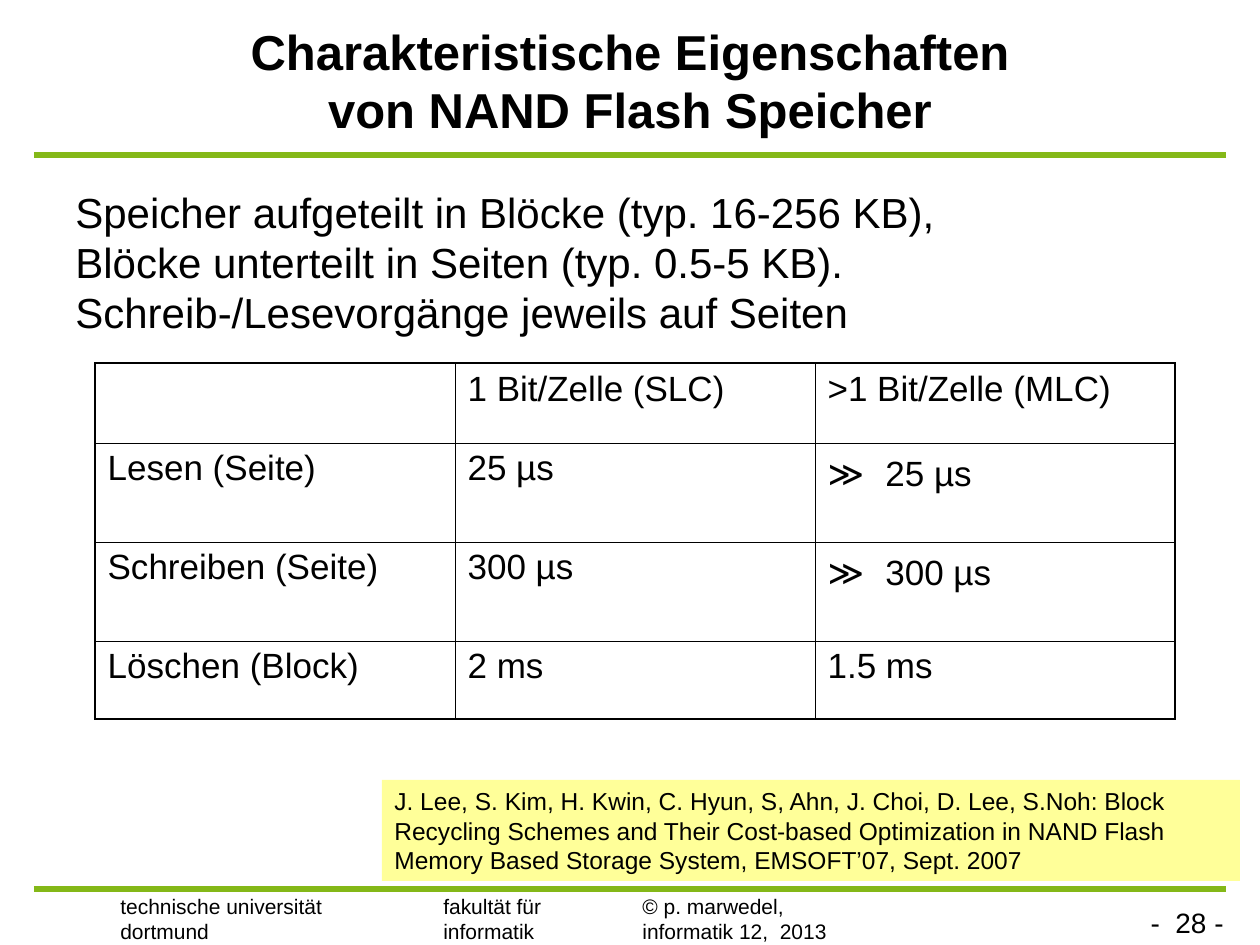
from dataclasses import dataclass

from lxml.etree import SubElement
from pptx import Presentation
from pptx.dml.color import RGBColor as RGB
from pptx.enum.shapes import MSO_CONNECTOR as CONN, MSO_SHAPE as SHAPE
from pptx.enum.text import MSO_ANCHOR as ANCHOR, PP_ALIGN as ALIGN
from pptx.oxml.ns import qn
from pptx.util import Pt

EMU_PER_PX = 914400 / 126


@dataclass(frozen=True)
class Theme:
    font: str = "Arial"
    symbol_font: str = "Noto Sans Mono"
    ink: RGB = RGB(0, 0, 0)
    rule: RGB = RGB(0x84, 0xB8, 0x18)
    note: RGB = RGB(0xFF, 0xFF, 0x99)
    title: int = 28
    body: int = 24
    cell: int = 20
    page: int = 16
    citation: int = 14
    footer: int = 12
    rule_width: int = 3
    outer_border: float = 1.08
    inner_border: float = 0.45


THEME = Theme()

ROWS = [
    ["", "1 Bit/Zelle (SLC)", ">1 Bit/Zelle (MLC)"],
    ["Lesen (Seite)", "25 µs", "≫ 25 µs"],
    ["Schreiben (Seite)", "300 µs", "≫ 300 µs"],
    ["Löschen (Block)", "2 ms", "1.5 ms"],
]
ROW_HEIGHTS = [80, 99, 99, 78]
COLUMN_WIDTH = 360


def px(n):
    return round(n * EMU_PER_PX)


def box(*lengths):
    return [px(n) for n in lengths]


def style_run(r, size, bold=False, font=THEME.font):
    r.font.size = Pt(size)
    r.font.bold = bold
    r.font.name = font
    r.font.color.rgb = THEME.ink


def style_frame(tf, size, bold=False, align=ALIGN.LEFT):
    for p in tf.paragraphs:
        p.alignment = align
        for r in p.runs:
            style_run(r, size, bold)


def add_text(slide, at, text, size, bold=False, align=ALIGN.LEFT,
             anchor=ANCHOR.TOP, wrap=True):
    tf = slide.shapes.add_textbox(*box(*at)).text_frame
    tf.word_wrap = wrap
    tf.vertical_anchor = anchor
    tf.text = text
    style_frame(tf, size, bold, align)


def add_rule(slide, y):
    line = slide.shapes.add_connector(CONN.STRAIGHT, *box(34, y, 1226, y))
    line.line.color.rgb = THEME.rule
    line.line.width = Pt(THEME.rule_width)
    SubElement(line._element.spPr, qn("a:effectLst"))


def add_citation(slide, at, text):
    sp = slide.shapes.add_shape(SHAPE.RECTANGLE, *box(*at))
    sp.shadow.inherit = False
    sp.fill.solid()
    sp.fill.fore_color.rgb = THEME.note
    sp.line.fill.background()
    tf = sp.text_frame
    tf.word_wrap = True
    tf.vertical_anchor = ANCHOR.TOP
    tf.text = text
    style_frame(tf, THEME.citation)


def set_borders(cell, outer_edges):
    """Draw the four borders; edges on the rim of the table are heavier."""
    tc_pr = cell._tc.get_or_add_tcPr()
    for i, (edge, outer) in enumerate(outer_edges.items()):
        width = THEME.outer_border if outer else THEME.inner_border
        ln = tc_pr.makeelement(qn(f"a:ln{edge}"), {"w": str(Pt(width))})
        fill = SubElement(ln, qn("a:solidFill"))
        SubElement(fill, qn("a:srgbClr"), val=str(THEME.ink))
        tc_pr.insert(i, ln)


def fill_cell(cell, text):
    cell.fill.background()
    p = cell.text_frame.paragraphs[0]
    p.font.size = Pt(THEME.cell)
    symbol = "≫ " if text.startswith("≫ ") else ""
    parts = [(symbol, THEME.symbol_font),
             (text.removeprefix(symbol), THEME.font)]
    for part, font in parts:
        if part:
            r = p.add_run()
            r.text = part
            style_run(r, THEME.cell, font=font)


def add_timing_table(slide, left, top):
    n_rows, n_cols = len(ROWS), len(ROWS[0])
    size = box(left, top, n_cols * COLUMN_WIDTH, sum(ROW_HEIGHTS))
    table = slide.shapes.add_table(n_rows, n_cols, *size).table
    table.first_row = table.horz_banding = False
    for column in table.columns:
        column.width = px(COLUMN_WIDTH)
    for i, texts in enumerate(ROWS):
        table.rows[i].height = px(ROW_HEIGHTS[i])
        for j, text in enumerate(texts):
            cell = table.cell(i, j)
            fill_cell(cell, text)
            set_borders(cell, {"L": j == 0, "R": j == n_cols - 1,
                               "T": i == 0, "B": i == n_rows - 1})


def add_footer(slide):
    add_text(slide, (1081, 899, 155, 46), "-  28 -", THEME.page,
             align=ALIGN.RIGHT)
    add_text(slide, (108, 887, 227, 63), "technische universität\ndortmund",
             THEME.footer, wrap=False)
    add_text(slide, (431, 887, 202, 63), "fakultät für informatik",
             THEME.footer)
    add_text(slide, (630, 887, 377, 63),
             "© p. marwedel,\vinformatik 12,  2013", THEME.footer)


def main():
    prs = Presentation()
    prs.slide_width, prs.slide_height = box(1260, 945)
    slide = prs.slides.add_slide(prs.slide_layouts[6])

    # Frame of the page
    add_footer(slide)
    for y in (889, 155):
        add_rule(slide, y)

    # Heading and introduction
    add_text(slide, (0, 10, 1260, 140),
             "Charakteristische Eigenschaften\vvon NAND Flash Speicher",
             THEME.title, bold=True, align=ALIGN.CENTER, anchor=ANCHOR.MIDDLE)
    add_text(slide, (63, 180, 1153, 164),
             "Speicher aufgeteilt in Blöcke (typ. 16-256 KB),\n"
             "Blöcke unterteilt in Seiten (typ. 0.5-5 KB).\n"
             "Schreib-/Lesevorgänge jeweils auf Seiten", THEME.body)

    # Access times and their reference
    add_timing_table(slide, 95, 363)
    add_citation(slide, (382, 780, 858, 101),
                 "J. Lee, S. Kim, H. Kwin, C. Hyun, S, Ahn, J. Choi, D. Lee, "
                 "S.Noh: Block Recycling Schemes and Their Cost-based "
                 "Optimization in NAND Flash Memory Based Storage System, "
                 "EMSOFT’07, Sept. 2007")

    prs.save("out.pptx")


if __name__ == "__main__":
    main()
